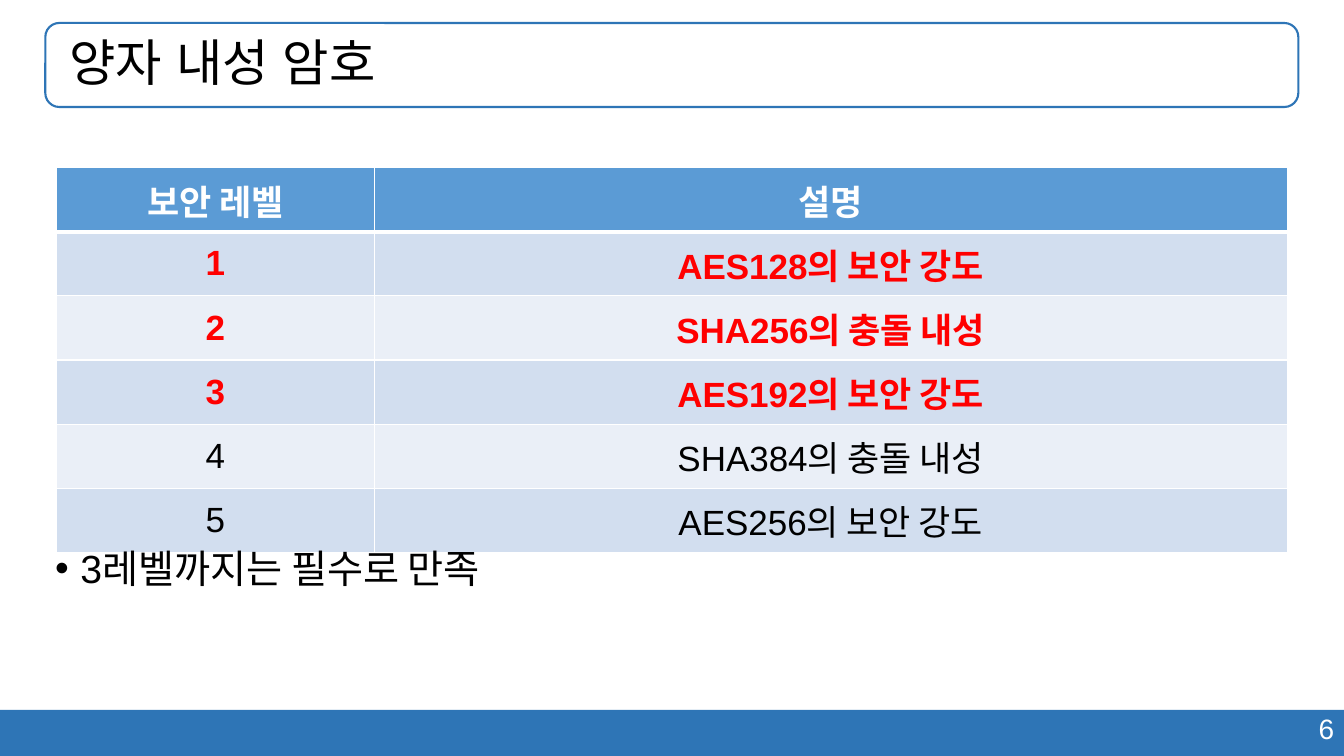
from dataclasses import dataclass

from lxml import etree
from pptx import Presentation
from pptx import util as u
from pptx.dml.color import RGBColor
from pptx.enum import shapes, text
from pptx.oxml import ns


@dataclass(frozen=True)
class Theme:
    font: str = "Arial"
    bar: str = "2E75B6"
    header: str = "5B9BD5"
    bands: tuple = ("D2DEEF", "EAEFF7")
    white: str = "FFFFFF"
    black: str = "000000"
    accent: str = "FF0000"
    title_size: float = 36
    body_size: float = 28
    table_size: float = 25
    number_size: float = 20


def apply(target, values):
    for name, value in values.items():
        setattr(target, name, value)


class SlideBuilder:
    def __init__(self, page, theme):
        self.page = page
        self.theme = theme

    def span(self, para, words, size, color, bold=False, east_asian=False):
        span = para.add_run()
        span.text = words
        apply(span.font, {"name": self.theme.font, "size": u.Pt(size), "bold": bold})
        span.font.color.rgb = RGBColor.from_string(color)
        if east_asian:
            etree.SubElement(span.font._element, ns.qn("a:ea")).set("typeface", self.theme.font)

    def shape(self, kind, area, fill=None, line=None):
        shape = self.page.shapes.add_shape(kind, *map(u.Pt, area))
        shape.shadow.inherit = False
        if fill:
            shape.fill.solid()
            shape.fill.fore_color.rgb = RGBColor.from_string(fill)
        else:
            shape.fill.background()
        if line:
            shape.line.color.rgb = RGBColor.from_string(line)
            shape.line.width = u.Pt(1.5)
        else:
            shape.line.fill.background()

    def text(self, area, words, size, color, frame=None, para_format=None,
             bullet=None, east_asian=False):
        box = self.page.shapes.add_textbox(*map(u.Pt, area))
        apply(box.text_frame, {"word_wrap": True, **(frame or {})})
        para = box.text_frame.paragraphs[0]
        apply(para, para_format or {})
        if bullet:
            properties = para._p.get_or_add_pPr()
            indent = u.Pt(18)
            properties.set("marL", str(indent))
            properties.set("indent", str(-indent))
            etree.SubElement(properties, ns.qn("a:buFont")).set("typeface", self.theme.font)
            etree.SubElement(properties, ns.qn("a:buChar")).set("char", bullet)
        self.span(para, words, size, color, east_asian=east_asian)

    def border(self, cell, side, width):
        line = etree.SubElement(cell._tc.get_or_add_tcPr(), ns.qn(f"a:ln{side}"))
        line.set("w", str(u.Pt(width)))
        fill = etree.SubElement(line, ns.qn("a:solidFill"))
        etree.SubElement(fill, ns.qn("a:srgbClr")).set("val", self.theme.white)

    def table(self, area, widths, rows, required):
        theme = self.theme
        table = self.page.shapes.add_table(len(rows), len(widths), *map(u.Pt, area)).table
        table.horz_banding = False
        for column, width in zip(table.columns, widths):
            column.width = u.Pt(width)
        for r, row in enumerate(rows):
            if r == 0:
                fill, color = theme.header, theme.white
            else:
                fill = theme.bands[(r - 1) % 2]
                color = theme.accent if r <= required else theme.black
            for c, words in enumerate(row):
                cell = table.cell(r, c)
                apply(cell, {
                    "vertical_anchor": text.MSO_ANCHOR.MIDDLE,
                    "margin_left": u.Pt(10), "margin_right": u.Pt(10),
                    "margin_top": u.Pt(5), "margin_bottom": u.Pt(5),
                })
                # The rule under the header row is heavier
                for side in "LRTB":
                    heavy = (r, side) in ((0, "B"), (1, "T"))
                    self.border(cell, side, 3 if heavy else 1)
                cell.fill.solid()
                cell.fill.fore_color.rgb = RGBColor.from_string(fill)
                para = cell.text_frame.paragraphs[0]
                para.alignment = text.PP_ALIGN.CENTER
                self.span(para, words, theme.table_size, color, bold=r <= required)


def main():
    deck = Presentation()
    apply(deck, {"slide_width": u.Pt(960), "slide_height": u.Pt(540)})
    theme = Theme()
    slide = SlideBuilder(deck.slides.add_slide(deck.slide_layouts[6]), theme)

    # Footer bar and page number
    slide.shape(shapes.MSO_SHAPE.RECTANGLE, (0, 507, 960, 33), fill=theme.bar)
    slide.text((679, 504.7, 281, 31.5), "6", theme.number_size, theme.white,
               para_format={"alignment": text.PP_ALIGN.RIGHT})

    # Framed title
    title_area = (32.4, 16.4, 895, 60)
    slide.shape(shapes.MSO_SHAPE.ROUNDED_RECTANGLE, title_area, line=theme.bar)
    slide.text(title_area, "양자 내성 암호", theme.title_size, theme.black,
               frame={"vertical_anchor": text.MSO_ANCHOR.MIDDLE, "margin_left": u.Pt(17.2)},
               para_format={"line_spacing": 0.9}, east_asian=True)

    # Security levels
    rows = [
        ("보안 레벨", "설명"),
        ("1", "AES128의 보안 강도"),
        ("2", "SHA256의 충돌 내성"),
        ("3", "AES192의 보안 강도"),
        ("4", "SHA384의 충돌 내성"),
        ("5", "AES256의 보안 강도"),
    ]
    slide.table((40.4, 119.7, 879, 275), (227, 652), rows, required=3)

    # Requirement
    slide.text((32.4, 385, 895, 104), "3레벨까지는 필수로 만족", theme.body_size,
               theme.black, bullet="•")

    deck.save("out.pptx")


if __name__ == "__main__":
    main()
